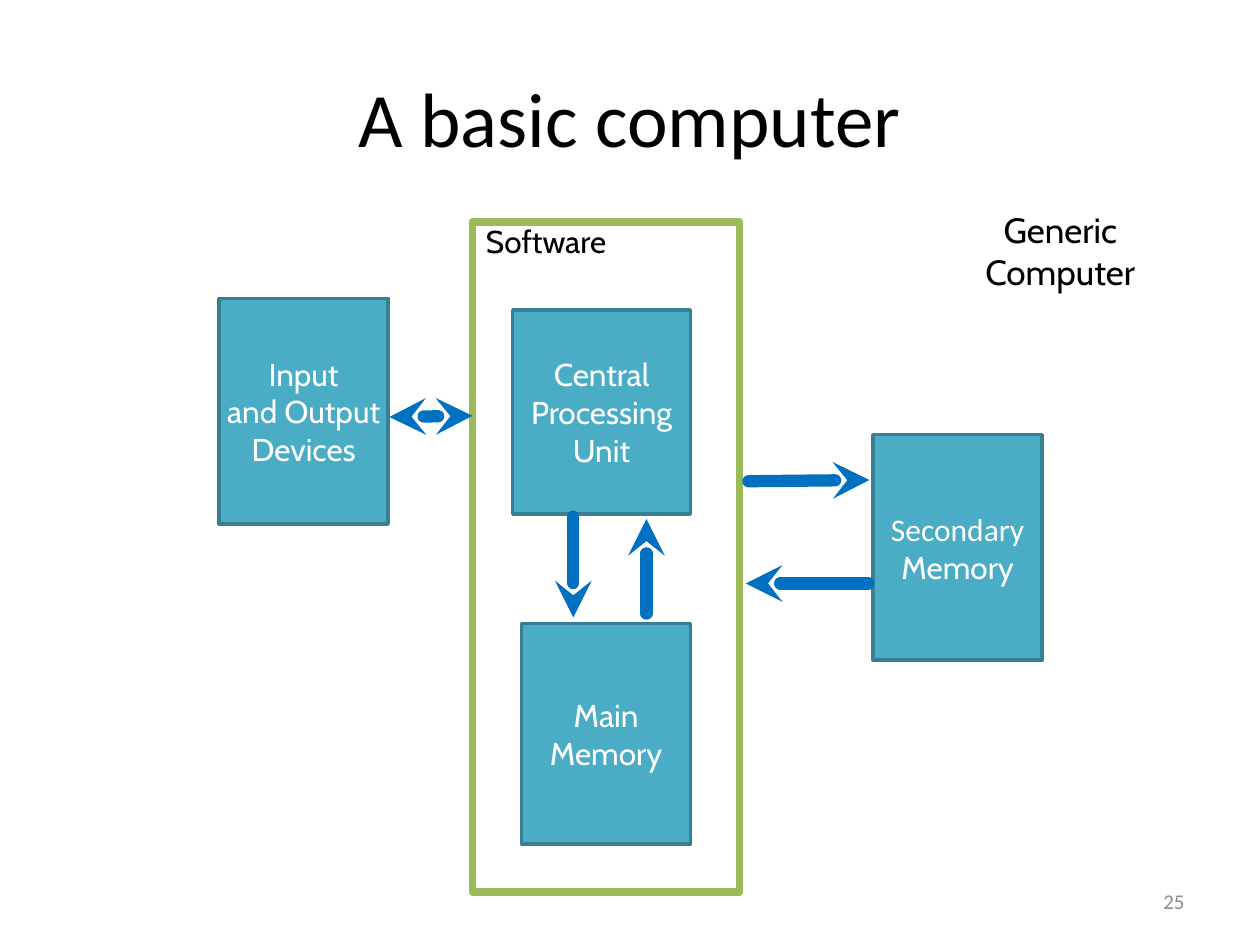
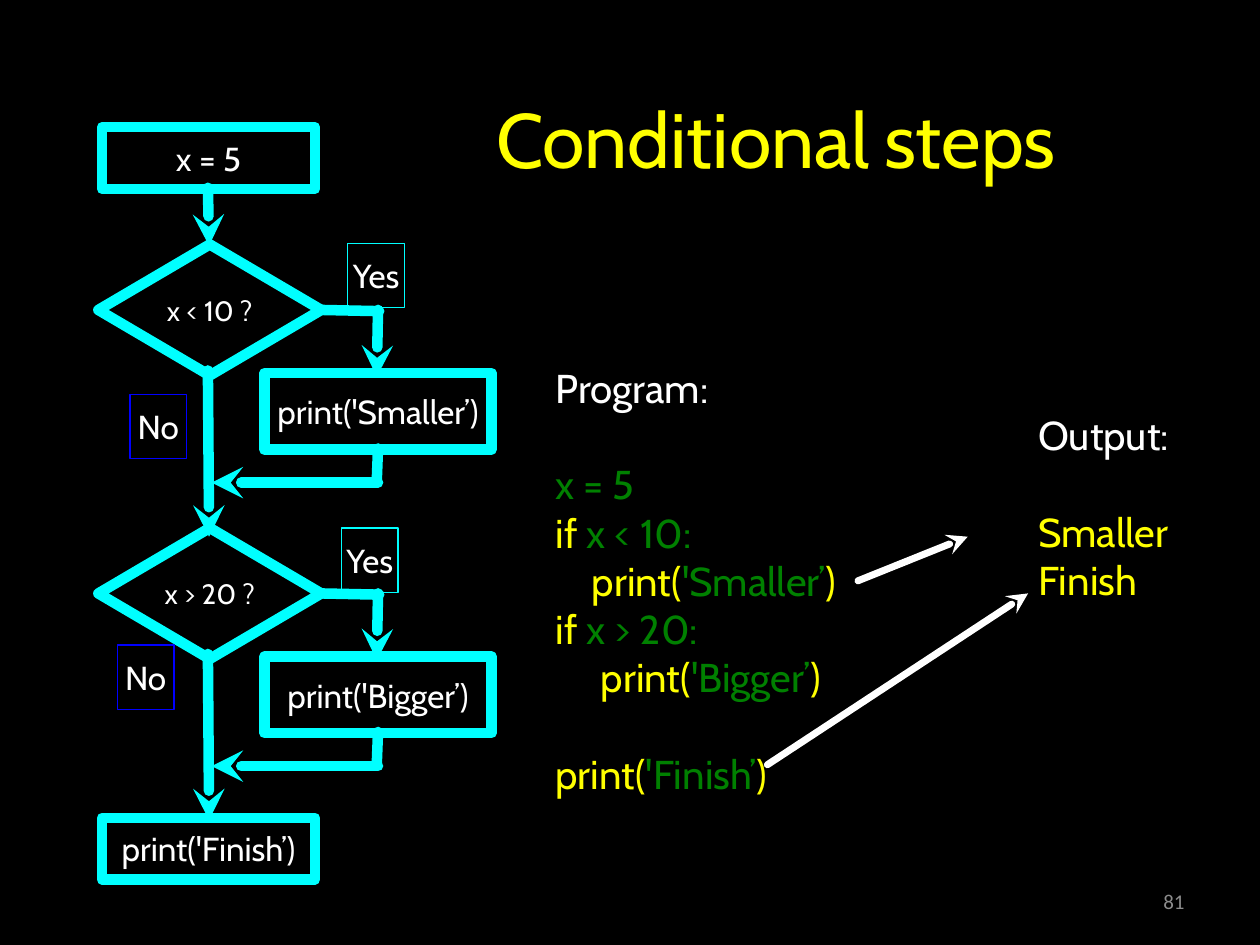
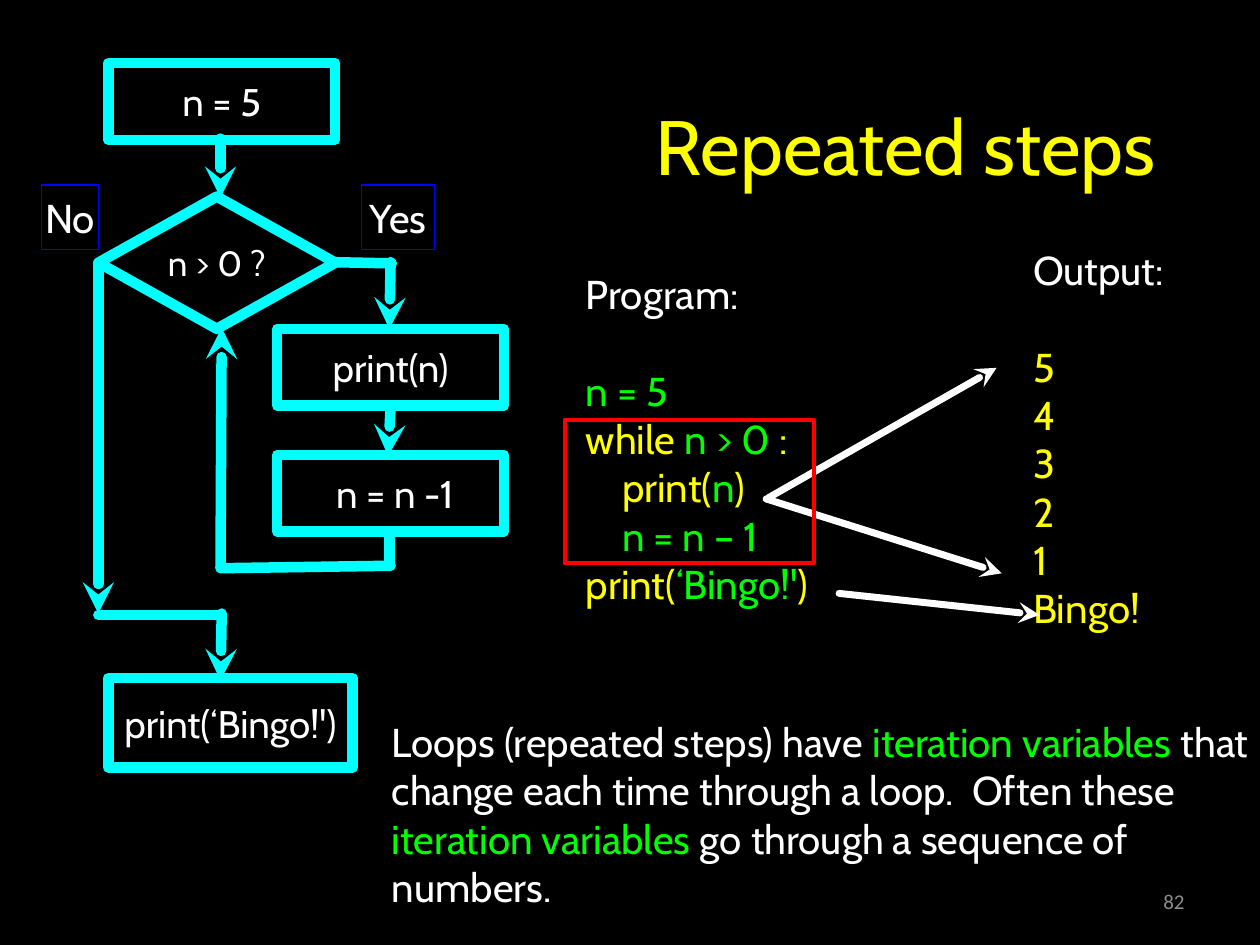
from pptx import Presentation
from pptx.dml.color import RGBColor
from pptx.enum.shapes import MSO_CONNECTOR, MSO_SHAPE
from pptx.enum.text import MSO_ANCHOR, PP_ALIGN
from pptx.oxml.ns import qn
from pptx.util import Pt
from lxml import etree

RECTANGLE = MSO_SHAPE.RECTANGLE
DIAMOND = MSO_SHAPE.DIAMOND
STRAIGHT = MSO_CONNECTOR.STRAIGHT
TOP, MIDDLE = MSO_ANCHOR.TOP, MSO_ANCHOR.MIDDLE
LEFT, CENTER, RIGHT = PP_ALIGN.LEFT, PP_ALIGN.CENTER, PP_ALIGN.RIGHT

BLACK, WHITE, GRAY = "000000", "FFFFFF", "8C8C8C"
CYAN, BLUE, RED = "00FFFF", "0000FF", "FF0000"
YELLOW, GREEN, LIME = "FFFF00", "008000", "00FF00"
TEAL, DARK_TEAL, OLIVE, ARROW_BLUE = "4BACC6", "377F92", "9BBB59", "0070C0"
BODY_FONT, OFFICE_FONT, SPACE_FONT = "Cabin", "Calibri", "Roboto"
BLANK_LINE = 27.6
BRANCH_PITCH = 162


def rgb(code):
    return RGBColor.from_string(code)


def add_span(para, text, *, size=23, color=WHITE, font=BODY_FONT, bold=False):
    span = para.add_run()
    span.text = text
    span.font.size = Pt(size)
    span.font.name = font
    span.font.bold = bold
    span.font.color.rgb = rgb(color)


def write_rows(box, rows, align=CENTER, anchor=MIDDLE, insets=(0, 0, 0, 0), **style):
    """Each row is a string or a list of (text, format) spans; None opens a gap."""
    frame = box.text_frame
    frame.word_wrap = True
    frame.vertical_anchor = anchor
    (frame.margin_left, frame.margin_top,
     frame.margin_right, frame.margin_bottom) = map(Pt, insets)
    para, gap = frame.paragraphs[0], 0
    for index, row in enumerate(rows):
        if row is None:
            gap = BLANK_LINE
            continue
        if index:
            para = frame.add_paragraph()
        para.alignment = align
        if gap:
            para.space_before = Pt(gap)
            gap = 0
        spans = [(row, {})] if isinstance(row, str) else row
        for text, own in spans:
            add_span(para, text, **{**style, **own})


def add_text(page, place, rows, **style):
    box = page.shapes.add_textbox(*map(Pt, place))
    write_rows(box, rows, **style)


def round_joins(line_xml):
    etree.SubElement(line_xml, qn("a:round"))


def add_box(page, place, rows=(), kind=RECTANGLE, fill=None, line=CYAN, width=6, **style):
    box = page.shapes.add_shape(kind, *map(Pt, place))
    box.shadow.inherit = False
    if fill:
        box.fill.solid()
        box.fill.fore_color.rgb = rgb(fill)
    else:
        box.fill.background()
    box.line.color.rgb = rgb(line)
    box.line.width = Pt(width)
    round_joins(box.line._get_or_add_ln())
    write_rows(box, rows, **style)


def add_line(page, start, end, color=CYAN, width=6, heads=()):
    line = page.shapes.add_connector(STRAIGHT, *map(Pt, start + end))
    line.line.color.rgb = rgb(color)
    line.line.width = Pt(width)
    line_xml = line.line._get_or_add_ln()
    line_xml.set("cap", "rnd")
    round_joins(line_xml)
    for head in heads:
        etree.SubElement(line_xml, qn(f"a:{head}"), type="stealth")
    etree.SubElement(line._element.spPr, qn("a:effectLst"))


def add_arrow(page, start, end, **style):
    add_line(page, start, end, heads=("tailEnd",), **style)


def add_pointer(page, start, end):
    add_arrow(page, start, end, color=WHITE, width=4)


def add_answer(page, left, top, text, line=BLUE, width=32.4, size=19):
    add_box(page, (left, top, width, 36.7), [text], line=line, width=0.75, size=size)


def add_title(page, place, row, **style):
    add_text(page, place, [row], **{"size": 44, "color": YELLOW, **style})


def add_page(deck, background, number):
    page = deck.slides.add_slide(deck.slide_layouts[6])
    page.background.fill.solid()
    page.background.fill.fore_color.rgb = rgb(background)
    add_text(page, (516.2, 500.4, 167.8, 28.8), [str(number)], align=RIGHT,
             insets=(7.2, 3.6, 7.2, 3.6), size=12, color=GRAY, font=OFFICE_FONT)
    return page


def colored(*pairs):
    return [(text, {"color": color}) for text, color in pairs]


def build_computer(deck):
    page = add_page(deck, WHITE, 25)
    add_title(page, (36, 21.6, 648, 90), "A basic computer", color=BLACK, font=OFFICE_FONT)
    add_box(page, (270, 126.7, 152.6, 383), ["Software"], fill=WHITE, line=OLIVE, width=4.5,
            align=LEFT, anchor=TOP, insets=(7.7, 0, 0, 0), size=18, color=BLACK)
    parts = [
        ((125.3, 170.6, 96.5, 128.9), ["Input", "and Output", "Devices"]),
        ((293, 177.1, 101.5, 116.6), ["Central", "Processing", "Unit"]),
        ((298.1, 356.4, 96.5, 126), ["Main", "Memory"]),
        ((499, 248.4, 96.5, 128.9), [[("Secondary", {"font": OFFICE_FONT})], "Memory"]),
    ]
    for place, rows in parts:
        add_box(page, place, rows, fill=TEAL, line=DARK_TEAL, width=2, size=18)
    add_line(page, (222.5, 238.3), (270, 237.6), color=ARROW_BLUE, width=7,
             heads=("headEnd", "tailEnd"))
    flows = [
        ((327.6, 295.2), (327.6, 352.8)),
        ((369.4, 350.6), (369.4, 296.6)),
        ((427.7, 275), (496.8, 274.3)),
        ((496.1, 333.4), (426.2, 333.4)),
    ]
    for start, end in flows:
        add_arrow(page, start, end, color=ARROW_BLUE, width=7)
    add_text(page, (550.8, 109.4, 110.2, 67.7), ["Generic", "Computer"], size=20, color=BLACK)


def add_branch(page, drop, question, action):
    add_arrow(page, (118.8, 211.7 + drop), (119.5, 306.7 + drop))
    add_box(page, (56.2, 139.7 + drop, 127.4, 74.9), [question], kind=DIAMOND, size=16)
    add_line(page, (182.2, 177.1 + drop), (216.7, 177.8 + drop))
    add_arrow(page, (216, 177.1 + drop), (215.3, 215.3 + drop))
    add_box(page, (151.2, 213.1 + drop, 129.6, 43.9), [action], size=19)
    add_line(page, (216, 256.3 + drop), (215.3, 275 + drop))
    add_arrow(page, (216, 275.8 + drop), (121, 275.8 + drop))


def build_conditional(deck):
    page = add_page(deck, BLACK, 81)
    add_title(page, (276.5, 33.8, 386.6, 90),
              [("Conditional", {}), (" ", {"size": 32, "font": SPACE_FONT, "bold": True}),
               ("steps", {})], align=LEFT, insets=(7.2, 3.6, 7.2, 3.6))

    for top, step in ((72.7, "x = 5"), (467.3, "print('Finish’)")):
        add_box(page, (58.3, top, 121.7, 35.3), [step], size=19)
    add_arrow(page, (118.8, 107.3), (119.5, 140.4))
    branches = [("x < 10 ?", "print('Smaller’)"), ("x > 20 ?", "print('Bigger’)")]
    for index, (question, action) in enumerate(branches):
        add_branch(page, index * BRANCH_PITCH, question, action)
    for left, top in ((198.7, 139), (195.1, 301.7)):
        add_answer(page, left, top, "Yes", line=CYAN)
    for left, top in ((74.2, 225.4), (67, 368.6)):
        add_answer(page, left, top, "No")

    program = [
        "Program:",
        None,
        colored(("x = 5", GREEN)),
        colored(("if ", YELLOW), ("x < 10:", GREEN)),
        colored(("    print(", YELLOW), ("'Smaller’", GREEN), (")", YELLOW)),
        colored(("if ", YELLOW), ("x > 20:", GREEN)),
        colored(("     print(", YELLOW), ("'Bigger’", GREEN), (")", YELLOW)),
        None,
        colored(("print(", YELLOW), ("'Finish’", GREEN), (")", YELLOW)),
    ]
    output = ["Output:", None, colored(("Smaller", YELLOW)), colored(("Finish", YELLOW))]
    add_text(page, (317.5, 184.3, 172.8, 294.5), program, align=LEFT)
    add_text(page, (593.3, 225.4, 84.2, 128.9), output, align=LEFT)
    add_pointer(page, (490.3, 331.9), (553, 306.7))
    add_pointer(page, (438.5, 437), (587.5, 339.1))


def build_repeated(deck):
    page = add_page(deck, BLACK, 82)
    add_title(page, (322.6, 14.4, 390.2, 136.1), "Repeated steps", insets=(2.2, 2.2, 2.2, 2.2))

    arrows = [
        ((126, 79.2), (126, 113)),
        ((126, 324.7), (126.7, 187.2)),
        ((223.2, 149.8), (222.5, 187.9)),
        ((223.2, 232.6), (221.8, 260.6)),
        ((56.2, 150.5), (56.2, 350.6)),
        ((126.7, 350.6), (126, 388.8)),
    ]
    for start, end in arrows:
        add_arrow(page, start, end)
    links = [
        ((189.4, 149.8), (223.9, 150.5)),
        ((222.5, 304.6), (222.5, 322.6)),
        ((126.7, 324.7), (223.2, 323.3)),
        ((56.2, 351.4), (126, 351.4)),
    ]
    for start, end in links:
        add_line(page, start, end)
    add_box(page, (56.2, 112.3, 135.4, 75.6), ["n > 0 ?"], kind=DIAMOND, size=20)
    steps = [
        ((61.9, 36, 129.6, 43.9), "n = 5"),
        ((158.4, 187.9, 129.6, 43.9), "print(n)"),
        ((158.4, 259.9, 129.6, 43.9), " n = n -1"),
        ((61.9, 387.4, 139.7, 51.1), "print(‘Bingo!')"),
    ]
    for place, step in steps:
        add_box(page, place, [step], size=22)
    add_answer(page, 23.8, 105.8, "No", size=23)
    add_answer(page, 206.6, 105.8, "Yes", width=41.8, size=23)

    program = [
        "Program:",
        None,
        colored(("n = 5", LIME)),
        colored(("while", YELLOW), (" n > 0", LIME), (" :", YELLOW)),
        colored(("    print(", YELLOW), ("n", LIME), (")", YELLOW)),
        colored(("    n = n – 1", LIME)),
        colored(("print(", YELLOW), ("‘Bingo!'", LIME), (")", YELLOW)),
    ]
    results = [colored((text, YELLOW)) for text in ("5", "4", "3", "2", "1", "Bingo!")]
    summary = colored(
        ("Loops (repeated steps) have ", WHITE), ("iteration variables ", LIME),
        ("that change each time through a loop.  Often these ", WHITE),
        ("iteration variables", LIME), (" go through a sequence of numbers.", WHITE))
    add_text(page, (334.8, 136.1, 162.7, 229), program, align=LEFT)
    add_text(page, (590.4, 124.6, 88.6, 252), ["Output:", None, *results], align=LEFT)
    add_text(page, (223.9, 416.2, 496.1, 97.9), [summary], align=LEFT)
    add_pointer(page, (439.2, 284.4), (569.5, 210.2))
    add_pointer(page, (437.8, 285.1), (572.4, 327.6))
    add_pointer(page, (479.5, 339.1), (594, 351.4))
    add_box(page, (322.6, 239.8, 142.6, 82.1), line=RED, width=2.25)


def main():
    deck = Presentation()
    deck.slide_width, deck.slide_height = Pt(720), Pt(540)
    build_computer(deck)
    build_conditional(deck)
    build_repeated(deck)
    deck.save("out.pptx")


if __name__ == "__main__":
    main()
